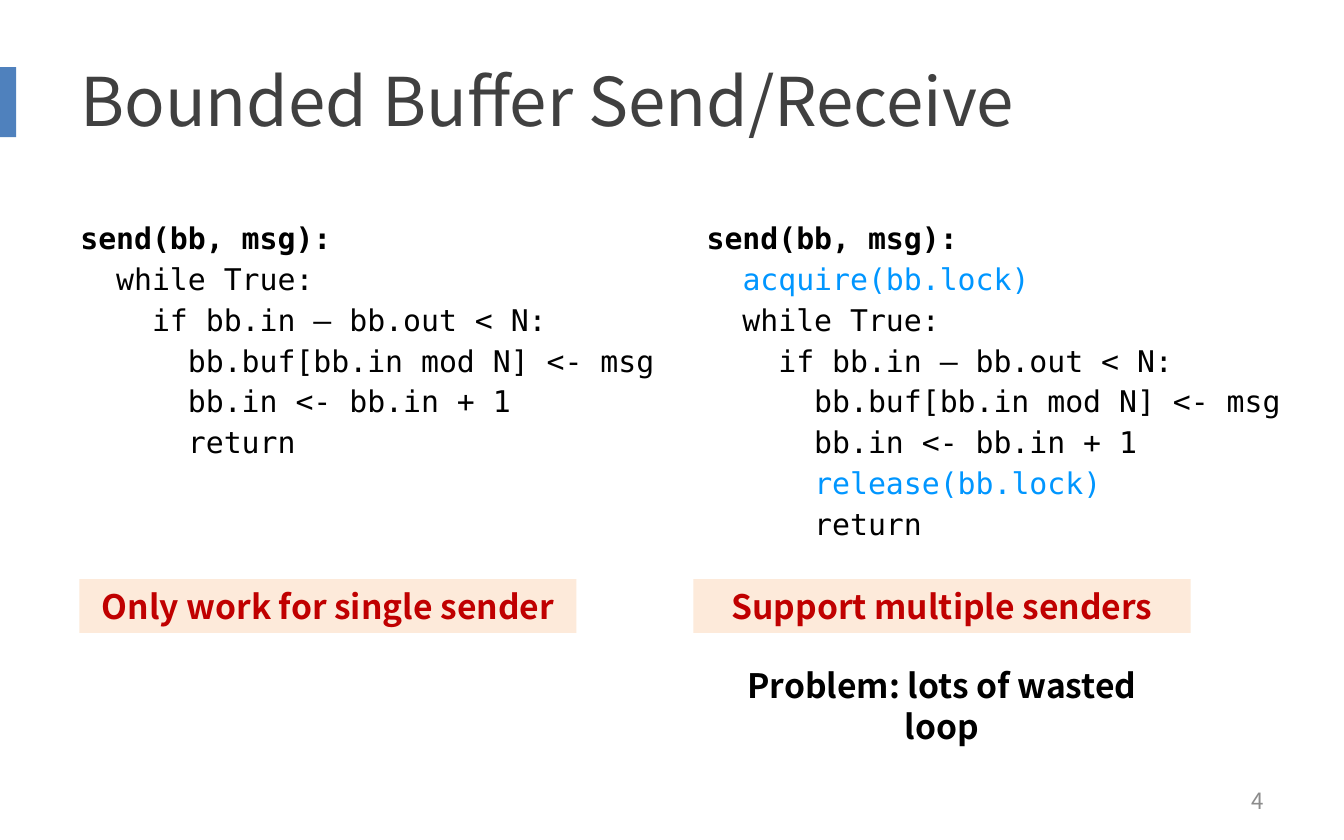
"""Build a slide comparing bounded buffer send with and without a lock."""
from pptx import Presentation
from pptx.dml.color import RGBColor
from pptx.enum.shapes import MSO_SHAPE
from pptx.enum.text import MSO_ANCHOR, PP_ALIGN
from pptx.util import Inches, Pt

RECTANGLE = MSO_SHAPE.RECTANGLE
TOP, MIDDLE = MSO_ANCHOR.TOP, MSO_ANCHOR.MIDDLE
LEFT, CENTER, RIGHT = PP_ALIGN.LEFT, PP_ALIGN.CENTER, PP_ALIGN.RIGHT

BLACK = RGBColor(0x00, 0x00, 0x00)
DARK_GRAY = RGBColor(0x40, 0x40, 0x40)
GRAY = RGBColor(0x8C, 0x8C, 0x8C)
RED = RGBColor(0xC0, 0x00, 0x00)
LOCK_BLUE = RGBColor(0x00, 0x96, 0xFF)
ACCENT_BLUE = RGBColor(0x4F, 0x81, 0xBD)
PEACH = RGBColor(0xFD, 0xEA, 0xDA)

SANS = "Noto Sans CJK SC"
MONO = "DejaVu Sans Mono"

MARGIN = 0.5
COLUMN = 4.66
RIGHT_COLUMN = MARGIN + COLUMN
CODE_TOP = 1.55
CODE_ROW = 0.3
LABEL_WIDTH, LABEL_HEIGHT = 3.7, 0.4
LABEL_TOP, PROBLEM_TOP = 4.31, 4.9

deck = Presentation()
deck.slide_width, deck.slide_height = Inches(10), Inches(6.25)
page = deck.slides.add_slide(deck.slide_layouts[6])


def add_panel(left, top, width, height, fill):
    panel = page.shapes.add_shape(
        RECTANGLE, Inches(left), Inches(top), Inches(width), Inches(height))
    panel.shadow.inherit = False
    panel.fill.solid()
    panel.fill.fore_color.rgb = fill
    panel.line.fill.background()
    return panel


def add_text(text, *, at=None, box=None, size=18, font=SANS, color=BLACK,
             bold=False, align=LEFT, anchor=TOP, spacing=None, heading=None,
             accents=()):
    if box is None:
        box = page.shapes.add_textbox(*[Inches(length) for length in at])
    frame = box.text_frame
    frame.word_wrap = True
    frame.vertical_anchor = anchor
    for index, line in enumerate(text.split("\n")):
        para = frame.paragraphs[0] if index == 0 else frame.add_paragraph()
        para.alignment = align
        para.line_spacing = spacing
        word = line.lstrip()
        indent = line[:len(line) - len(word)]
        for part in ([indent, word] if word in accents else [line]):
            span = para.add_run()
            span.text = part
            span.font.name = font
            span.font.size = Pt(size)
            span.font.bold = bold or line == heading
            span.font.color.rgb = LOCK_BLUE if part in accents else color


add_panel(0, 0.5, 0.12, 0.52, ACCENT_BLUE)
add_text("Bounded Buffer Send/Receive", at=(MARGIN, 0.25, 9, 0.98),
         size=36, color=DARK_GRAY, anchor=MIDDLE)
add_text("4", at=(7.17, 5.79, 2.33, 0.33), size=12, color=GRAY,
         align=RIGHT, anchor=MIDDLE)

HEADING = "send(bb, msg):"
ACQUIRE, RELEASE = "acquire(bb.lock)", "release(bb.lock)"
LOOP = """  while True:
    if bb.in – bb.out < N:
      bb.buf[bb.in mod N] <- msg
      bb.in <- bb.in + 1"""
RETURN = "      return"

variants = [
    (MARGIN, 0.59, [HEADING, LOOP, RETURN], "Only work for single sender"),
    (RIGHT_COLUMN, RIGHT_COLUMN,
     [HEADING, "  " + ACQUIRE, LOOP, "      " + RELEASE, RETURN],
     "Support multiple senders"),
]
for code_left, label_left, blocks, verdict in variants:
    code = "\n".join(blocks)
    rows = len(code.split("\n"))
    add_text(code, at=(code_left, CODE_TOP, COLUMN, rows * CODE_ROW + 0.14),
             size=16, font=MONO, spacing=1.14, heading=HEADING,
             accents=(ACQUIRE, RELEASE))
    label = add_panel(label_left, LABEL_TOP, LABEL_WIDTH, LABEL_HEIGHT, PEACH)
    add_text(verdict, box=label, color=RED, bold=True, align=CENTER)

add_text("Problem: lots of wasted loop",
         at=(RIGHT_COLUMN, PROBLEM_TOP, LABEL_WIDTH, LABEL_HEIGHT),
         bold=True, align=CENTER)

deck.save("out.pptx")
